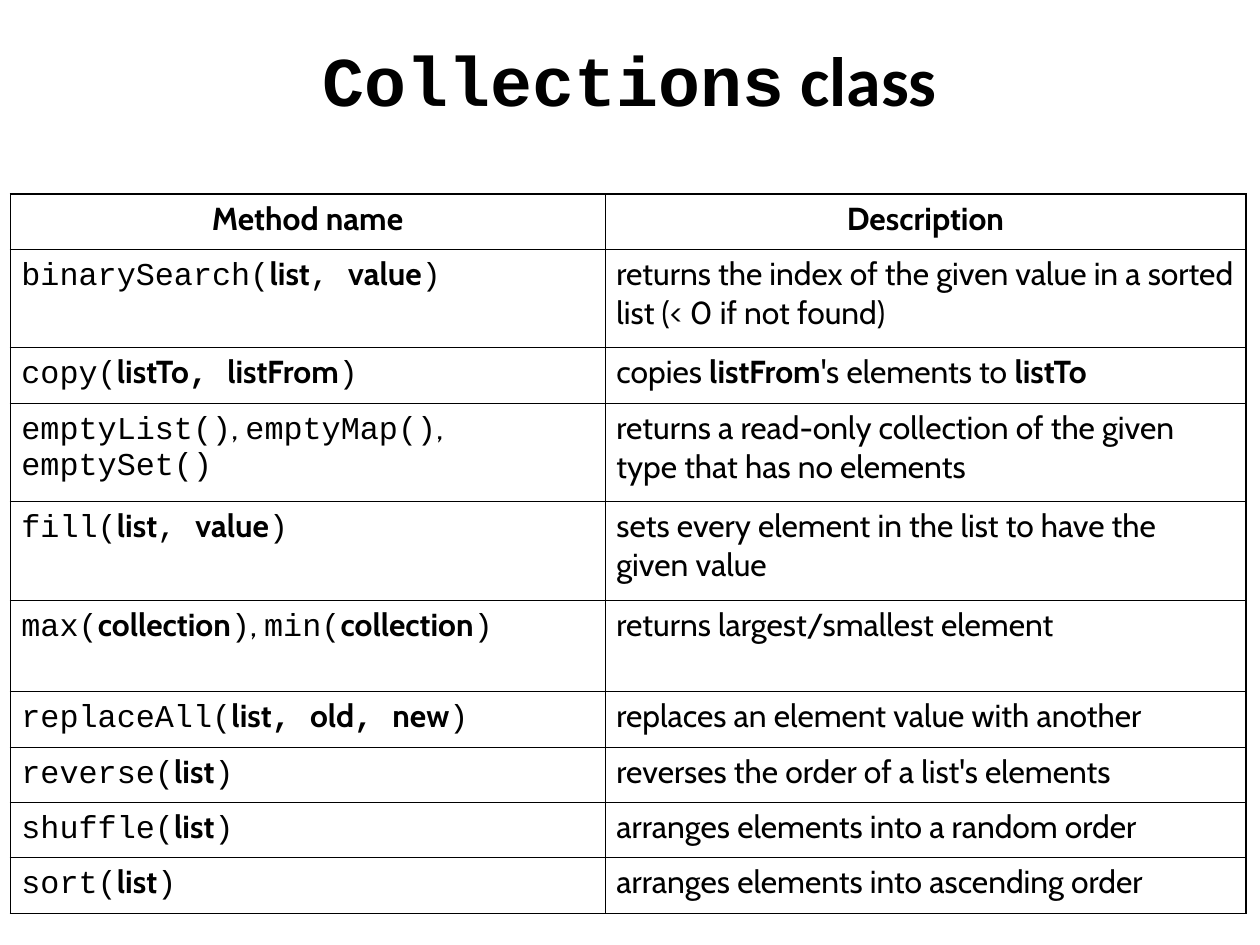
from dataclasses import dataclass

from lxml.etree import SubElement
from pptx import Presentation
from pptx.dml.color import RGBColor
from pptx.enum.text import MSO_VERTICAL_ANCHOR as Anchor, PP_PARAGRAPH_ALIGNMENT as Align
from pptx.oxml.ns import qn
from pptx.util import Emu, Pt

EMU_PER_PX = 8000
BLACK, WHITE = "000000", "FFFFFF"
BODY, CODE, TITLE = "Cabin", "Courier New", "Calibri"
THICK_LINE, THIN_LINE = 1.08, 0.45


@dataclass(frozen=True)
class Span:
    text: str
    font: str = BODY
    bold: bool = False
    ends_line: bool = False


@dataclass(frozen=True)
class Row:
    height: int
    method: list[Span]
    description: list[Span]
    align: Align = Align.LEFT


def px(length: int) -> Emu:
    return Emu(length * EMU_PER_PX)


def color(value: str) -> RGBColor:
    return RGBColor.from_string(value)


def code(text: str, bold: bool = False) -> Span:
    return Span(text, CODE, bold)


def strong(text: str) -> Span:
    return Span(text, BODY, True)


def call(method: str, *arguments: str, bold_commas: bool = False) -> list[Span]:
    spans = [code(f"{method}(")]
    for index, argument in enumerate(arguments):
        if index:
            spans.append(code(", ", bold_commas))
        spans.append(strong(argument))
    return [*spans, code(")")]


def write(para, spans: list[Span], size: int, align: Align) -> None:
    para.alignment = align
    for span in spans:
        run = para.add_run()
        run.text = span.text
        run.font.name = span.font
        run.font.size = Pt(size)
        run.font.bold = span.bold
        run.font.color.rgb = color(BLACK)
        if span.ends_line:
            para.add_line_break()


def add_border(cell, side: str, width: float) -> None:
    properties = cell._tc.get_or_add_tcPr()
    line = SubElement(properties, qn(f"a:ln{side}"), w=str(Pt(width)))
    fill = SubElement(line, qn("a:solidFill"))
    SubElement(fill, qn("a:srgbClr"), val=BLACK)


def add_title(page, spans: list[Span]) -> None:
    box = page.shapes.add_textbox(px(63), px(0), px(1134), px(158))
    frame = box.text_frame
    frame.word_wrap = True
    frame.vertical_anchor = Anchor.MIDDLE
    write(frame.paragraphs[0], spans, 44, Align.CENTER)


def add_method_table(page, rows: list[Row], widths: list[int]) -> None:
    height = sum(row.height for row in rows)
    table = page.shapes.add_table(
        len(rows), len(widths), px(10), px(194), px(sum(widths)), px(height)).table
    table.first_row = table.horz_banding = False
    for column, width in zip(table.columns, widths):
        column.width = px(width)
    for row_index, row in enumerate(rows):
        table.rows[row_index].height = px(row.height)
        for column_index, spans in enumerate((row.method, row.description)):
            cell = table.cell(row_index, column_index)
            thick_sides = {
                "L": False,
                "R": column_index == len(widths) - 1,
                "T": row_index == 0,
                "B": False,
            }
            for side, is_thick in thick_sides.items():
                add_border(cell, side, THICK_LINE if is_thick else THIN_LINE)
            cell.fill.solid()
            cell.fill.fore_color.rgb = color(WHITE)
            write(cell.text_frame.paragraphs[0], spans, 20, row.align)


ROWS = [
    Row(55, [strong("Method name")], [strong("Description")], Align.CENTER),
    Row(98, call("binarySearch", "list", "value"),
        [Span("returns the index of the given value in a sorted list (< 0 if not found)")]),
    Row(56, call("copy", "listTo", "listFrom", bold_commas=True),
        [Span("copies "), strong("listFrom"), Span("'s elements to "), strong("listTo")]),
    Row(98, [code("emptyList()"), Span(", "), code("emptyMap()"),
             Span(",", ends_line=True), code("emptySet()")],
        [Span("returns a read-only collection of the given type that has no elements")]),
    Row(99, call("fill", "list", "value"),
        [Span("sets every element in the list to have the given value")]),
    Row(91, [*call("max", "collection"), Span(", "), *call("min", "collection")],
        [Span("returns largest/smallest element")]),
    Row(56, call("replaceAll", "list", "old", "new", bold_commas=True),
        [Span("replaces an element value with another")]),
    Row(55, call("reverse", "list"), [Span("reverses the order of a list's elements")]),
    Row(55, call("shuffle", "list"), [Span("arranges elements into a random order")]),
    Row(56, call("sort", "list"), [Span("arranges elements into ascending order")]),
]


def main() -> None:
    deck = Presentation()
    deck.slide_width, deck.slide_height = px(1260), px(945)
    page = deck.slides.add_slide(deck.slide_layouts[6])
    add_title(page, [code("Collections", True), Span(" class", TITLE, True)])
    add_method_table(page, ROWS, [595, 641])
    deck.save("out.pptx")


if __name__ == "__main__":
    main()
